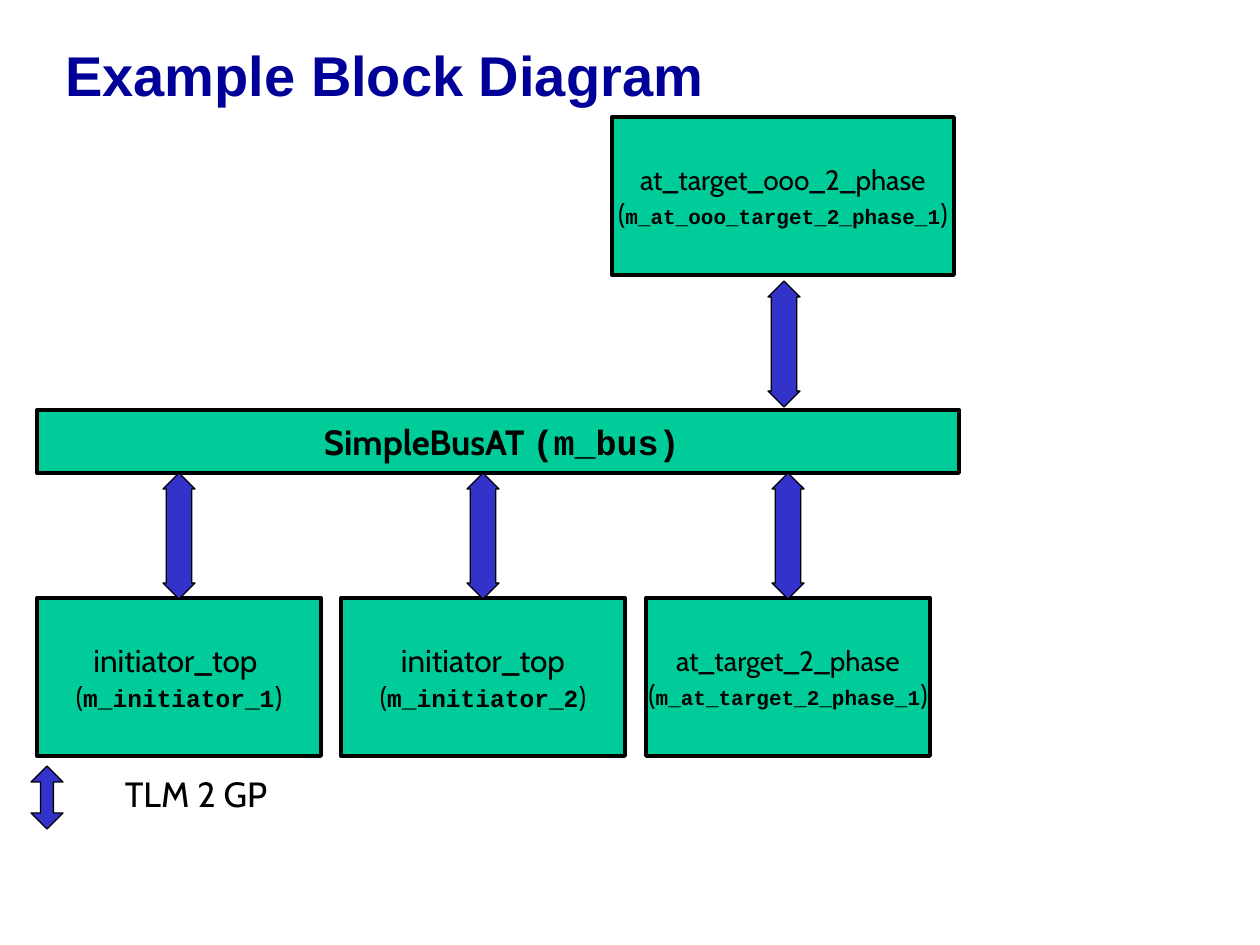
from pptx import Presentation
from pptx import util as u
from pptx.dml.color import RGBColor
from pptx.enum import shapes, text

PX = 914400 / 126  # EMU in one px

NAVY = RGBColor(0x00, 0x00, 0x99)
BLUE = RGBColor(0x33, 0x33, 0xCC)
GREEN = RGBColor(0x00, 0xCC, 0x99)
BLACK = RGBColor(0x00, 0x00, 0x00)
WHITE = RGBColor(0xFF, 0xFF, 0xFF)

SANS, MONO = "Cabin", "Courier New"
BLOCK_W, BLOCK_H = 284, 158
ARROW_W, ARROW_H = 32, 126
BUS_TOP, BUS_H = 410, 63
ROW_TOP = 598

# Bottom row: left, class name, instance name, class size, instance size
ROW = [
    (37, "initiator_top ", "m_initiator_1", 18, 14),
    (341, "initiator_top", "m_initiator_2", 18, 14),
    (646, "at_target_2_phase", "m_at_target_2_phase_1", 16, 12),
]


def px(*lengths):
    return [u.Emu(round(length * PX)) for length in lengths]


def add_span(para, words, size=16, font=SANS, bold=False, color=BLACK):
    span = para.add_run()
    span.text = words
    span.font.size = u.Pt(size)
    span.font.name = font
    span.font.bold = bold
    span.font.color.rgb = color


def add_label(page, words, left, top, width, height, wrap=False,
              anchor=text.MSO_ANCHOR.TOP, align=text.PP_ALIGN.CENTER,
              spacing=1.0, **style):
    frame = page.shapes.add_textbox(*px(left, top, width, height)).text_frame
    frame.word_wrap = wrap
    frame.vertical_anchor = anchor
    para = frame.paragraphs[0]
    para.alignment = align
    para.line_spacing = spacing
    add_span(para, words, **style)


def add_filled(page, kind, bounds, fill, line_width):
    shape = page.shapes.add_shape(kind, *px(*bounds))
    shape.shadow.inherit = False
    shape.fill.solid()
    shape.fill.fore_color.rgb = fill
    shape.line.color.rgb = BLACK
    shape.line.width = u.Pt(line_width)
    return shape


def add_box(page, left, top, width, height, lines):
    """Each line is a list of (words, format) pairs."""
    box = add_filled(page, shapes.MSO_SHAPE.RECTANGLE,
                     (left, top, width, height), GREEN, 2.25)
    frame = box.text_frame
    frame.word_wrap = False
    frame.vertical_anchor = text.MSO_ANCHOR.MIDDLE
    for index, spans in enumerate(lines):
        para = frame.add_paragraph() if index else frame.paragraphs[0]
        para.alignment = text.PP_ALIGN.CENTER
        for words, style in spans:
            add_span(para, words, **style)


def add_block(page, left, top, width, name, instance, name_size, instance_size):
    add_box(page, left, top, width, BLOCK_H, [
        [(name, {"size": name_size})],
        [("(", {}),
         (instance, {"size": instance_size, "font": MONO, "bold": True}),
         (")", {})],
    ])


def add_arrow(page, left, top, height=ARROW_H, head=0.8):
    arrow = add_filled(page, shapes.MSO_SHAPE.UP_DOWN_ARROW,
                       (left, top, ARROW_W, height), BLUE, 0.75)
    arrow.adjustments[0] = 0.5
    arrow.adjustments[1] = head


def main():
    deck = Presentation()
    deck.slide_width, deck.slide_height = u.Inches(10), u.Inches(7.5)
    page = deck.slides.add_slide(deck.slide_layouts[6])
    page.background.fill.solid()
    page.background.fill.fore_color.rgb = WHITE

    # Title
    add_label(page, "Example Block Diagram", 53, 0, 1197, 158, wrap=True,
              anchor=text.MSO_ANCHOR.MIDDLE, align=text.PP_ALIGN.LEFT,
              spacing=0.85, size=32, font="Arial", bold=True, color=NAVY)

    # Legend
    add_label(page, "TLM 2 GP", 106, 766, 180, 55, size=20)
    add_arrow(page, 31, 766, height=63, head=0.4)

    # Bus
    add_box(page, 37, BUS_TOP, 922, BUS_H, [[
        (" ", {"size": 20}),
        ("SimpleBusAT ", {"size": 20, "bold": True}),
        ("(m_bus)", {"size": 20, "font": MONO, "bold": True}),
    ]])

    # Bottom row, each block joined to the bus by an arrow
    for left, *labels in ROW:
        add_block(page, left, ROW_TOP, BLOCK_W, *labels)
        add_arrow(page, left + (BLOCK_W - ARROW_W) // 2, BUS_TOP + BUS_H)

    # Target above the bus
    add_block(page, 612, 117, 342, "at_target_ooo_2_phase",
              "m_at_ooo_target_2_phase_1", 16, 12)
    add_arrow(page, 768, 281)

    deck.save("out.pptx")


if __name__ == "__main__":
    main()
